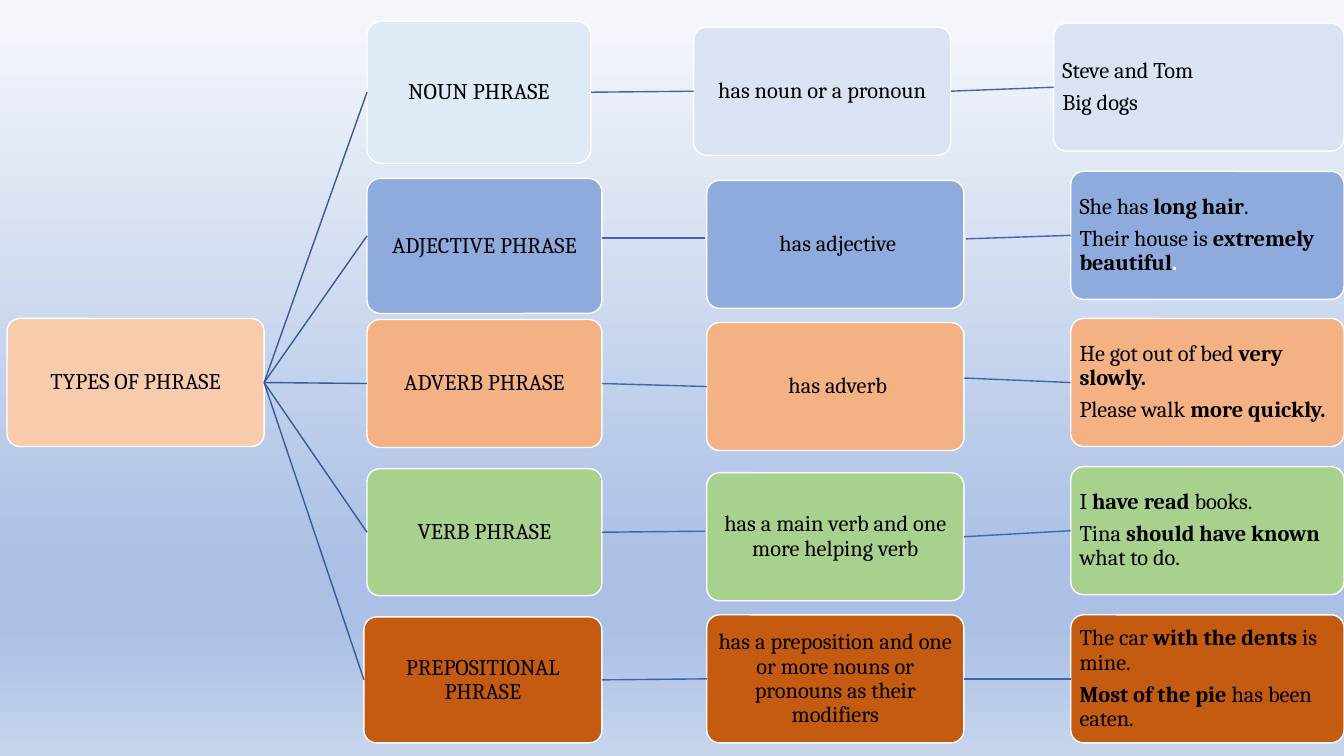
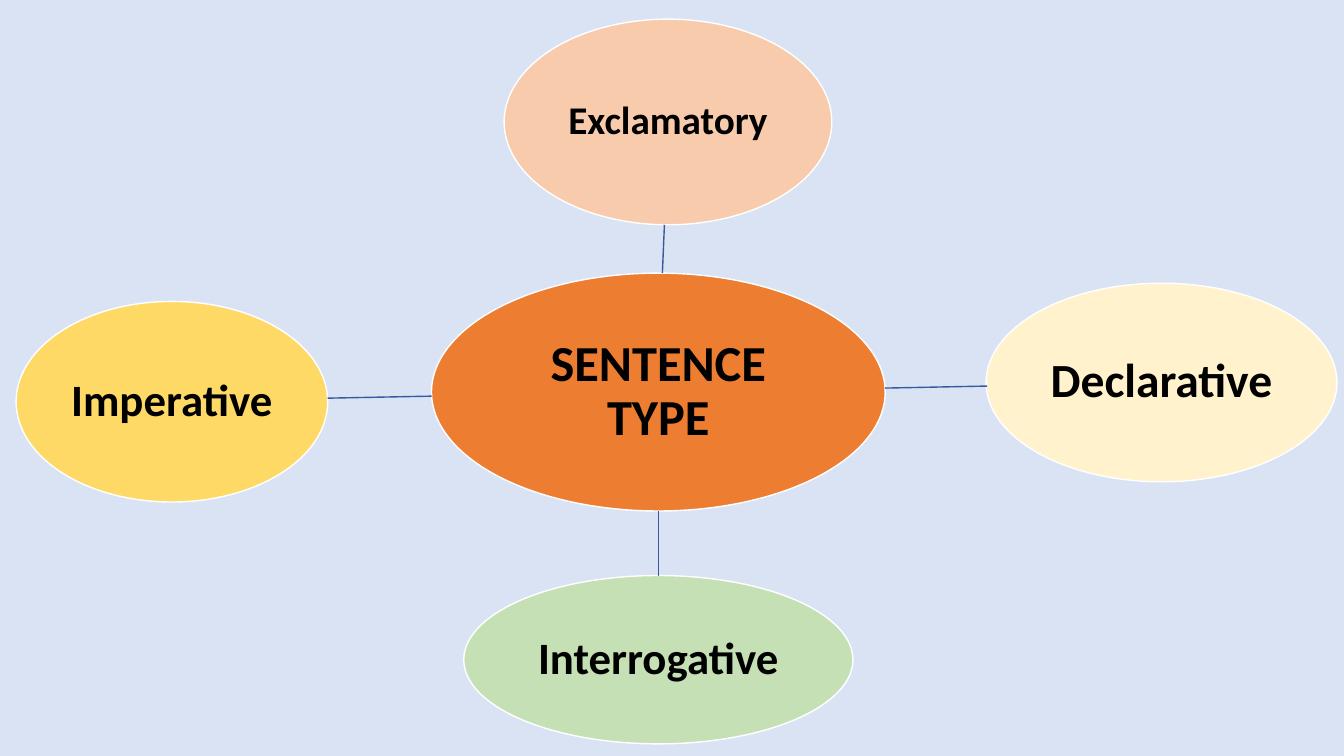
from lxml import etree
from pptx import Presentation
from pptx.dml.color import RGBColor
from pptx.enum.shapes import MSO_CONNECTOR, MSO_SHAPE
from pptx.enum.text import MSO_ANCHOR, PP_ALIGN
from pptx.oxml.ns import qn
from pptx.util import Inches, Pt

rgb = RGBColor.from_string
BLACK, WHITE = "000000", "FFFFFF"
BRANCH_LINE, ROW_LINE = "365B9D", "3E67B2"
PALE_BLUE, PEACH = "DAE3F3", "F8CBAD"
TOP, LEFT, BOTTOM, RIGHT = range(4)
JOIN_TOLERANCE = Inches(0.05)


def add_node(slide, preset, place, fill, paragraphs, font, size, inset, align=PP_ALIGN.CENTER):
    """Add a white-edged shape; each paragraph is a list of (text, bold, colour) runs."""
    node = slide.shapes.add_shape(preset, *map(Inches, place))
    node.shadow.inherit = False
    node.fill.solid()
    node.fill.fore_color.rgb = rgb(fill)
    node.line.color.rgb = rgb(WHITE)
    node.line.width = Pt(1)
    if preset == MSO_SHAPE.ROUNDED_RECTANGLE:
        node.adjustments[0] = 0.1
    frame = node.text_frame
    frame.word_wrap = True
    frame.vertical_anchor = MSO_ANCHOR.MIDDLE
    frame.margin_left = frame.margin_right = Inches(inset)
    frame.margin_top = frame.margin_bottom = Inches(inset)
    for index, runs in enumerate(paragraphs):
        para = frame.add_paragraph() if index else frame.paragraphs[0]
        para.alignment = align
        para.line_spacing = 0.9
        para.space_after = Pt(size * 0.35)
        for text, bold, colour in runs:
            span = para.add_run()
            span.text = text
            span.font.name = font
            span.font.size = Pt(size)
            span.font.bold = bold
            span.font.color.rgb = rgb(colour)
    return node


def add_link(slide, start, end, colour, source=None, target=None):
    """Add a line, joined to source's right and target's left middle where it meets them."""
    link = slide.shapes.add_connector(MSO_CONNECTOR.STRAIGHT, *map(Inches, start + end))
    link.line.color.rgb = rgb(colour)
    link.line.width = Pt(1)
    etree.SubElement(link._element.spPr, qn("a:effectLst"))
    if source is not None:
        gap_x = abs(source.left + source.width - link.begin_x)
        gap_y = abs(source.top + source.height // 2 - link.begin_y)
        if max(gap_x, gap_y) < JOIN_TOLERANCE:
            link.begin_connect(source, RIGHT)
    if target is not None:
        gap_x = abs(target.left - link.end_x)
        gap_y = abs(target.top + target.height // 2 - link.end_y)
        if max(gap_x, gap_y) < JOIN_TOLERANCE:
            link.end_connect(target, LEFT)


deck = Presentation()
deck.slide_width = Inches(13.33)
deck.slide_height = Inches(7.5)
blank = deck.slide_layouts[6]

# Phrase types: a tree with one row per type
page = deck.slides.add_slide(blank)
backdrop = page.background.fill
backdrop.gradient()
backdrop.gradient_angle = 270
stops = page._element.find(".//" + qn("a:gsLst"))
for stop in list(stops):
    stops.remove(stop)
for percent, colour in [(0, "F6F8FC"), (74, "ABC0E4"), (83, "ABC0E4"), (100, "C7D5ED")]:
    stop = etree.SubElement(stops, qn("a:gs"), pos=str(percent * 1000))
    etree.SubElement(stop, qn("a:srgbClr"), val=colour)

# Each row: type, rule and example boxes as (place, fill), their text,
# the height where the branch ends, and the starts of the two row links
rows = [
    ([((3.64, 0.21, 2.22, 1.41), "DEEBF7"), ((6.88, 0.27, 2.55, 1.27), PALE_BLUE),
      ((10.45, 0.23, 2.88, 1.27), PALE_BLUE)],
     "NOUN PHRASE", "has noun or a pronoun",
     [[("Steve and Tom", False, BLACK)], [("Big dogs", False, BLACK)]],
     0.87, [(5.86, 0.88), (9.4, 0.88)]),
    ([((3.64, 1.77, 2.33, 1.34), "8FAADC"), ((7.01, 1.79, 2.55, 1.27), "8FAADC"),
      ((10.62, 1.7, 2.71, 1.27), "8FAADC")],
     "ADJECTIVE PHRASE", " has adjective",
     [[("She has ", False, BLACK), ("long hair", True, BLACK), (".", False, BLACK)],
      [("Their house is ", False, BLACK), ("extremely beautiful", True, BLACK),
       (".", True, WHITE)]],
     2.34, [(5.97, 2.36), (9.58, 2.37)]),
    ([((3.64, 3.17, 2.33, 1.27), "F4B183"), ((7.01, 3.2, 2.55, 1.27), "F4B183"),
      ((10.62, 3.16, 2.71, 1.27), "F4B183")],
     "ADVERB PHRASE", " has adverb",
     [[("He got out of bed ", False, BLACK), ("very slowly.", True, BLACK)],
      [("Please walk ", False, BLACK), ("more quickly.", True, BLACK)]],
     3.8, [(5.97, 3.82), (9.56, 3.75)]),
    ([((3.64, 4.65, 2.33, 1.26), "A9D18E"), ((7.01, 4.69, 2.55, 1.27), "A9D18E"),
      ((10.62, 4.63, 2.71, 1.27), "A9D18E")],
     "VERB PHRASE", "has a main verb and one more helping verb",
     [[("I ", False, BLACK), ("have read ", True, BLACK), ("books.", False, BLACK)],
      [("Tina ", False, BLACK), ("should have known ", True, BLACK),
       ("what to do.", False, BLACK)]],
     5.27, [(5.97, 5.27), (9.56, 5.3)]),
    ([((3.61, 6.12, 2.36, 1.25), "C55A11"), ((7.01, 6.1, 2.55, 1.27), "C55A11"),
      ((10.62, 6.1, 2.71, 1.27), "C55A11")],
     "PREPOSITIONAL PHRASE",
     "has a preposition and one or more nouns or pronouns as their modifiers",
     [[("The car ", False, BLACK), ("with the dents", True, BLACK),
       (" is mine.", False, BLACK)],
      [("Most of the pie", True, BLACK), (" has been eaten.", False, BLACK)]],
     6.73, [(5.97, 6.75), (9.58, 6.73)]),
]
tree_style = ("Cambria", 16, 0.05)
rounded = MSO_SHAPE.ROUNDED_RECTANGLE
root = add_node(page, rounded, (0.07, 3.16, 2.55, 1.27), PEACH,
                [[("TYPES OF PHRASE", False, BLACK)]], *tree_style)
for index, (places, name, rule, examples, branch_y, link_starts) in enumerate(rows):
    texts = [[[(name, False, BLACK)]], [[(rule, False, BLACK)]], examples]
    example_align = PP_ALIGN.LEFT if index else PP_ALIGN.JUSTIFY
    aligns = [PP_ALIGN.CENTER, PP_ALIGN.CENTER, example_align]
    boxes = [add_node(page, rounded, place, fill, text, *tree_style, align)
             for (place, fill), text, align in zip(places, texts, aligns)]
    add_link(page, (2.62, 3.8), (3.64, branch_y), BRANCH_LINE, root, boxes[0])
    for (x, y), source, target in zip(link_starts, boxes, boxes[1:]):
        add_link(page, (x, y), (x + 1.02, y), ROW_LINE, source, target)

# Sentence types: a hub with four ellipses around it
page = deck.slides.add_slide(blank)
page.background.fill.solid()
page.background.fill.fore_color.rgb = rgb(PALE_BLUE)

ellipses = [
    ("SENTENCE TYPE", (4.28, 2.71, 4.5, 2.36), "ED7D31", 36, 0.03),
    ("Exclamatory", (5, 0.19, 3.25, 2.04), PEACH, 28, 0.02),
    ("Declarative", (9.78, 2.81, 3.48, 1.97), "FFF2CC", 34, 0.02),
    ("Interrogative", (4.6, 5.71, 3.86, 1.67), "C5E0B4", 32, 0.02),
    ("Imperative", (0.16, 2.99, 3.09, 1.99), "FFD966", 32, 0.02),
]
for text, place, fill, size, inset in ellipses:
    add_node(page, MSO_SHAPE.OVAL, place, fill, [[(text, True, BLACK)]],
             "Calibri", size, inset)

spokes = [
    ((6.57, 2.71), (6.59, 2.23)),
    ((8.78, 3.85), (9.79, 3.83)),
    ((6.53, 5.07), (6.53, 5.71)),
    ((4.28, 3.93), (3.25, 3.95)),
]
for start, end in spokes:
    add_link(page, start, end, BRANCH_LINE)

deck.save("out.pptx")
